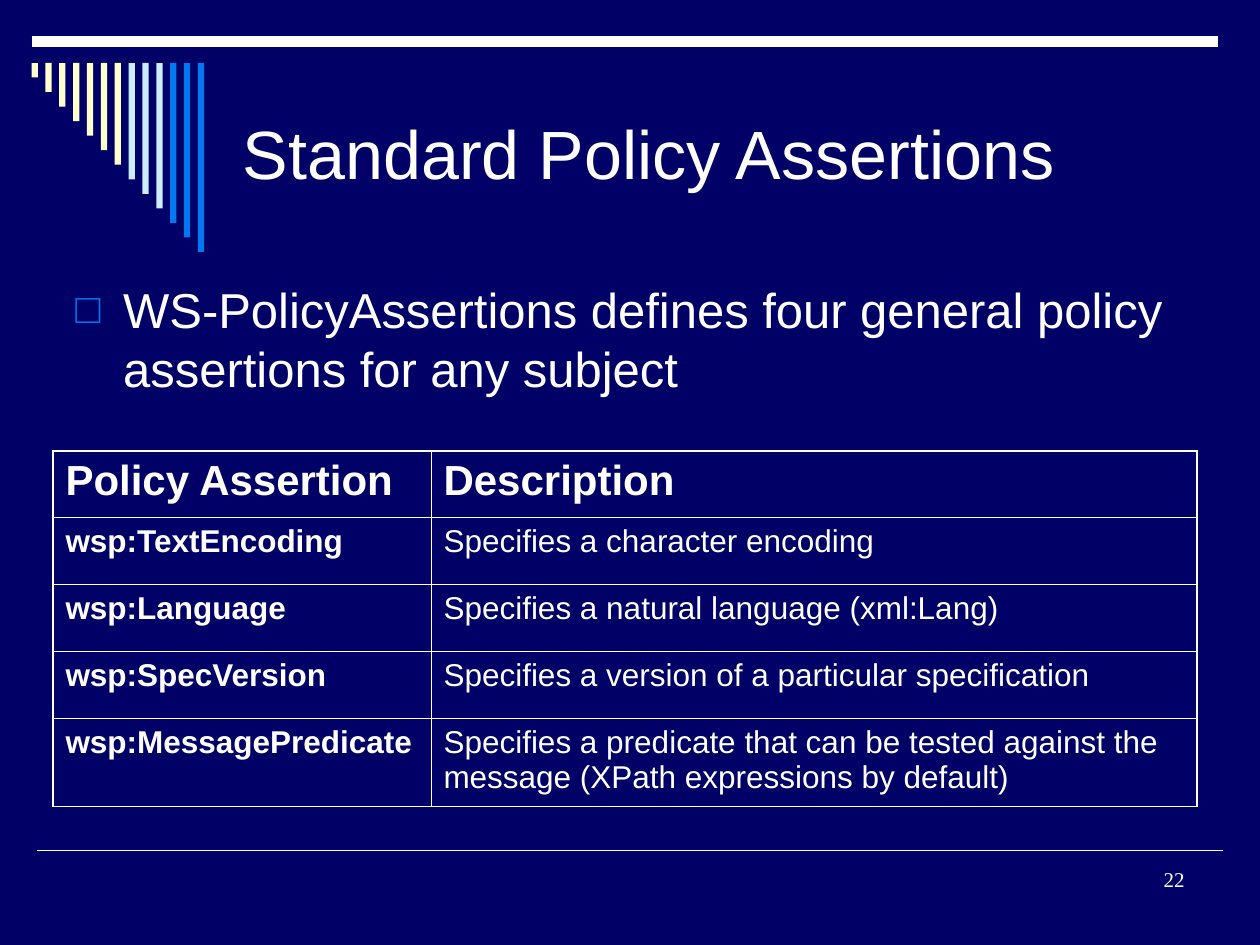
from lxml import etree
from pptx import Presentation, util as u
from pptx.dml.color import RGBColor
from pptx.enum import shapes, text
from pptx.oxml.ns import qn

COLORS = {"navy": "000066", "white": "FFFFFF", "cream": "FFFFCC",
          "ice": "CCECFF", "blue": "0078F0"}
TITLE = "Standard Policy Assertions"
BULLET = "WS-PolicyAssertions defines four general policy assertions for any subject"
PAGE = "22"
ROWS = [
    ("Policy Assertion", "Description"),
    ("wsp:TextEncoding", "Specifies a character encoding"),
    ("wsp:Language", "Specifies a natural language (xml:Lang)"),
    ("wsp:SpecVersion", "Specifies a version of a particular specification"),
    ("wsp:MessagePredicate",
     "Specifies a predicate that can be tested against the message "
     "(XPath expressions by default)"),
]
COLUMN_WIDTHS = [3, 6.08]
ROW_HEIGHTS = [0.53] * 4 + [0.7]
BAR_COLORS = ["cream"] * 7 + ["ice"] * 3 + ["blue"] * 3
RULES = [(0.29, 6.75, 1), (0.25, 0.33, 6)]  # left, top, points
RULE_LENGTH = 9.42
OUTER, INNER = 1.08, 0.45  # table border points


def rgb(name):
    return RGBColor.from_string(COLORS[name])


def write(frame, words, size, name="Arial", bold=False, **paragraph_format):
    frame.word_wrap = True
    paragraph = frame.paragraphs[0]
    for key, value in paragraph_format.items():
        setattr(paragraph, key, value)
    run = paragraph.add_run()
    run.text = words
    for key, value in {"size": u.Pt(size), "name": name, "bold": bold}.items():
        setattr(run.font, key, value)
    run.font.color.rgb = rgb("white")
    return paragraph


def add_text(slide, box, *args, anchor=text.MSO_ANCHOR.TOP, **options):
    frame = slide.shapes.add_textbox(*map(u.Inches, box)).text_frame
    frame.vertical_anchor = anchor
    return write(frame, *args, **options)


def add_rule(slide, left, top, points):
    line = slide.shapes.add_connector(
        shapes.MSO_CONNECTOR.STRAIGHT,
        *map(u.Inches, (left, top, left + RULE_LENGTH, top)))
    line.line.color.rgb = rgb("white")
    line.line.width = u.Pt(points)
    etree.SubElement(line._element.spPr, qn("a:effectLst"))


def add_bars(slide, left=0.25, top=0.5, pitch=0.11, width=0.05, longest=1.5):
    for index, color in enumerate(BAR_COLORS):
        height = longest * (index + 1) / len(BAR_COLORS)
        bar = slide.shapes.add_shape(
            shapes.MSO_SHAPE.RECTANGLE,
            *map(u.Inches, (left + index * pitch, top, width, height)))
        bar.shadow.inherit = False
        bar.fill.solid()
        bar.fill.fore_color.rgb = rgb(color)
        bar.line.fill.background()


def add_bullet(paragraph):
    properties = paragraph._p.get_or_add_pPr()
    properties.set("marL", str(u.Inches(0.38)))
    properties.set("indent", str(u.Inches(-0.38)))
    color = etree.SubElement(properties, qn("a:buClr"))
    etree.SubElement(color, qn("a:srgbClr"), val=COLORS["blue"])
    etree.SubElement(properties, qn("a:buSzPct"), val="85000")
    etree.SubElement(properties, qn("a:buFont"), typeface="Arial")
    etree.SubElement(properties, qn("a:buChar"), char="□")


def set_borders(cell, outer_sides):
    properties = cell._tc.get_or_add_tcPr()
    for index, side in enumerate("LRTB"):
        points = OUTER if side in outer_sides else INNER
        line = etree.Element(qn(f"a:ln{side}"), w=str(u.Pt(points)))
        fill = etree.SubElement(line, qn("a:solidFill"))
        etree.SubElement(fill, qn("a:srgbClr"), val=COLORS["white"])
        properties.insert(index, line)


def add_assertion_table(slide, left=0.42, top=3.58):
    size = (sum(COLUMN_WIDTHS), sum(ROW_HEIGHTS))
    table = slide.shapes.add_table(
        len(ROWS), len(COLUMN_WIDTHS), *map(u.Inches, (left, top, *size))).table
    table.horz_banding = False
    for column, width in zip(table.columns, COLUMN_WIDTHS):
        column.width = u.Inches(width)
    for row, height in zip(table.rows, ROW_HEIGHTS):
        row.height = u.Inches(height)
    for r, words in enumerate(ROWS):
        header = r == 0
        for c, value in enumerate(words):
            cell = table.cell(r, c)
            cell.fill.background()
            write(cell.text_frame, value, 24 if header else 18,
                  bold=header or c == 0, space_before=u.Pt(6 if header else 4.5))
            set_borders(cell, ("L" if c == 0 else "R")
                        + ("T" if header else "")
                        + ("B" if r == len(ROWS) - 1 else ""))


def main():
    presentation = Presentation()
    presentation.slide_width, presentation.slide_height = u.Inches(10), u.Inches(7.5)
    slide = presentation.slides.add_slide(presentation.slide_layouts[6])
    slide.background.fill.solid()
    slide.background.fill.fore_color.rgb = rgb("navy")
    for rule in RULES:
        add_rule(slide, *rule)
    add_bars(slide)
    add_text(slide, (1.83, 0.5, 7.67, 1.42), TITLE, 39, anchor=text.MSO_ANCHOR.MIDDLE)
    add_bullet(add_text(slide, (0.5, 2.17, 9, 1.5), BULLET, 28, space_before=u.Pt(7)))
    add_assertion_table(slide)
    add_text(slide, (7.17, 6.83, 2.33, 0.5), PAGE, 12, name="Times New Roman",
             alignment=text.PP_ALIGN.RIGHT)
    presentation.save("out.pptx")


if __name__ == "__main__":
    main()
